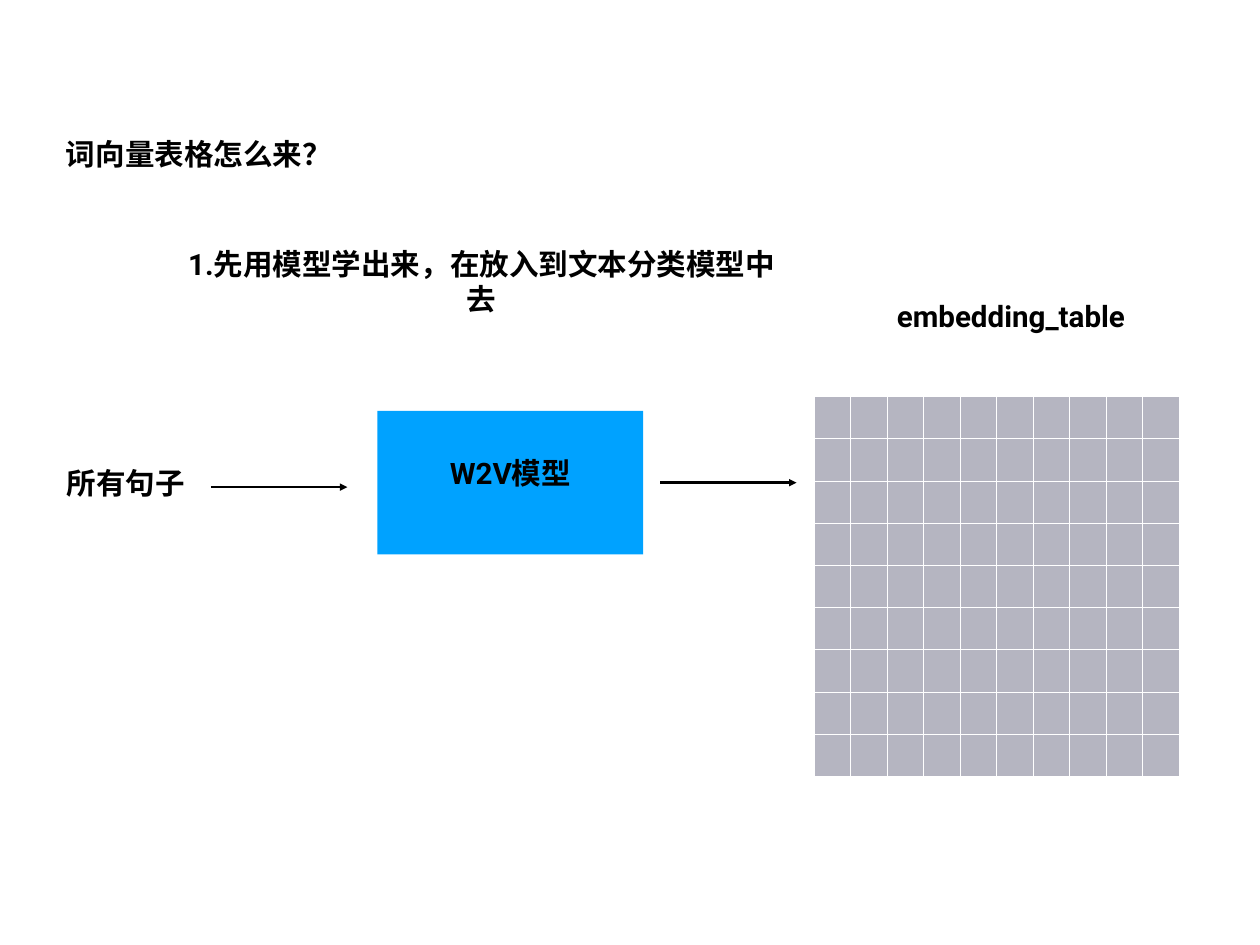
from dataclasses import dataclass
from itertools import product

from lxml.etree import SubElement
from pptx import Presentation
from pptx.dml.color import RGBColor
from pptx.enum.shapes import MSO_CONNECTOR, MSO_SHAPE
from pptx.enum.text import MSO_ANCHOR, MSO_AUTO_SIZE, PP_ALIGN
from pptx.oxml.ns import qn
from pptx.slide import Slide
from pptx.table import _Cell
from pptx.util import Inches, Pt


@dataclass(frozen=True)
class Theme:
    """Colours, font and stroke sizes of the slide."""
    font: str = "Roboto"
    text_size: float = 24
    ink: str = "000000"
    model_fill: str = "00A2FF"
    cell_fill: str = "B5B5C1"
    grid: str = "FFFFFF"
    arrow_width: float = 2
    grid_width: float = 1
    text_inset: float = 0.06


@dataclass(frozen=True)
class Box:
    """A rectangle measured in inches."""
    left: float
    top: float
    width: float
    height: float

    def lengths(self) -> tuple[int, ...]:
        """Return left, top, width and height as lengths."""
        return tuple(map(Inches, (self.left, self.top, self.width, self.height)))


@dataclass(frozen=True)
class Label:
    """A centred line of bold text."""
    text: str
    box: Box


@dataclass(frozen=True)
class Arrow:
    """A horizontal arrow pointing right."""
    left: float
    right: float
    height: float


THEME = Theme()
MODEL_BOX = Box(4.26, 4.64, 3, 1.62)
EMBEDDING_BOX = Box(9.19, 4.48, 4.12, 4.29)
EMBEDDING_ROWS, EMBEDDING_COLUMNS = 9, 10
LABELS = (
    Label("词向量表格怎么来？", Box(0.68, 1.45, 3.13, 0.57)),
    Label("1.先用模型学出来，在放入到文本分类模型中去", Box(1.9, 2.89, 7.07, 0.57)),
    Label("W2V模型", Box(5.01, 5.05, 1.5, 0.57)),
    Label("所有句子", Box(0.69, 5.16, 1.46, 0.57)),
    Label("embedding_table", Box(9.98, 3.32, 2.86, 0.5)),
)
ARROWS = (Arrow(2.38, 3.92, 5.5), Arrow(7.45, 8.99, 5.45))


def draw_label(slide: Slide, label: Label) -> None:
    """Draw a label as an unwrapped text box."""
    frame = slide.shapes.add_textbox(*label.box.lengths()).text_frame
    frame.text = label.text
    frame.word_wrap = False
    frame.auto_size = MSO_AUTO_SIZE.SHAPE_TO_FIT_TEXT
    frame.vertical_anchor = MSO_ANCHOR.MIDDLE
    frame.margin_left = frame.margin_right = Inches(THEME.text_inset)
    frame.margin_top = frame.margin_bottom = Inches(THEME.text_inset)
    line = frame.paragraphs[0]
    line.alignment = PP_ALIGN.CENTER
    font = line.runs[0].font
    font.name = THEME.font
    font.size = Pt(THEME.text_size)
    font.bold = True
    font.color.rgb = RGBColor.from_string(THEME.ink)


def draw_model(slide: Slide) -> None:
    """Draw the block behind the model name."""
    model = slide.shapes.add_shape(MSO_SHAPE.RECTANGLE, *MODEL_BOX.lengths())
    model.shadow.inherit = False
    model.fill.solid()
    model.fill.fore_color.rgb = RGBColor.from_string(THEME.model_fill)
    model.line.fill.background()


def draw_arrow(slide: Slide, arrow: Arrow) -> None:
    """Draw a connector with a triangular head."""
    height = Inches(arrow.height)
    flow = slide.shapes.add_connector(
        MSO_CONNECTOR.STRAIGHT, Inches(arrow.left), height, Inches(arrow.right), height
    )
    flow.line.width = Pt(THEME.arrow_width)
    flow.line.color.rgb = RGBColor.from_string(THEME.ink)
    SubElement(flow.line._get_or_add_ln(), qn("a:tailEnd"), type="triangle")
    SubElement(flow._element.spPr, qn("a:effectLst"))


def style_cell(cell: _Cell) -> None:
    """Give a cell its borders and fill."""
    properties = cell._tc.get_or_add_tcPr()
    for side in ("lnL", "lnR", "lnT", "lnB"):
        border = SubElement(properties, qn(f"a:{side}"), w=str(Pt(THEME.grid_width)))
        SubElement(SubElement(border, qn("a:solidFill")), qn("a:srgbClr"), val=THEME.grid)
    cell.fill.solid()
    cell.fill.fore_color.rgb = RGBColor.from_string(THEME.cell_fill)


def draw_embedding(slide: Slide) -> None:
    """Draw the empty embedding grid."""
    embedding = slide.shapes.add_table(
        EMBEDDING_ROWS, EMBEDDING_COLUMNS, *EMBEDDING_BOX.lengths()
    ).table
    for row, column in product(range(EMBEDDING_ROWS), range(EMBEDDING_COLUMNS)):
        style_cell(embedding.cell(row, column))


def main() -> None:
    """Build and save the slide."""
    deck = Presentation()
    deck.slide_width, deck.slide_height = Inches(14.22), Inches(10.67)
    slide = deck.slides.add_slide(deck.slide_layouts[6])
    draw_model(slide)
    draw_embedding(slide)
    for label in LABELS:
        draw_label(slide, label)
    for arrow in ARROWS:
        draw_arrow(slide, arrow)
    deck.save("out.pptx")


if __name__ == "__main__":
    main()
